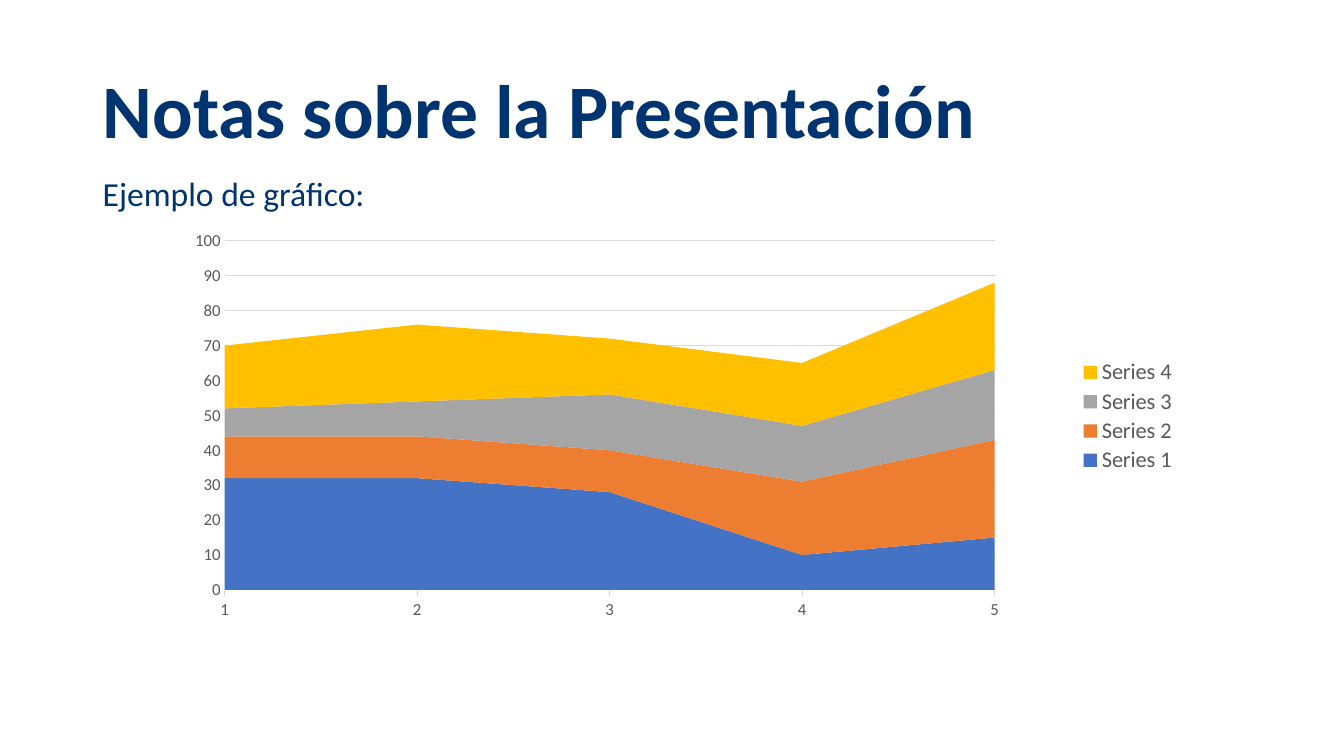
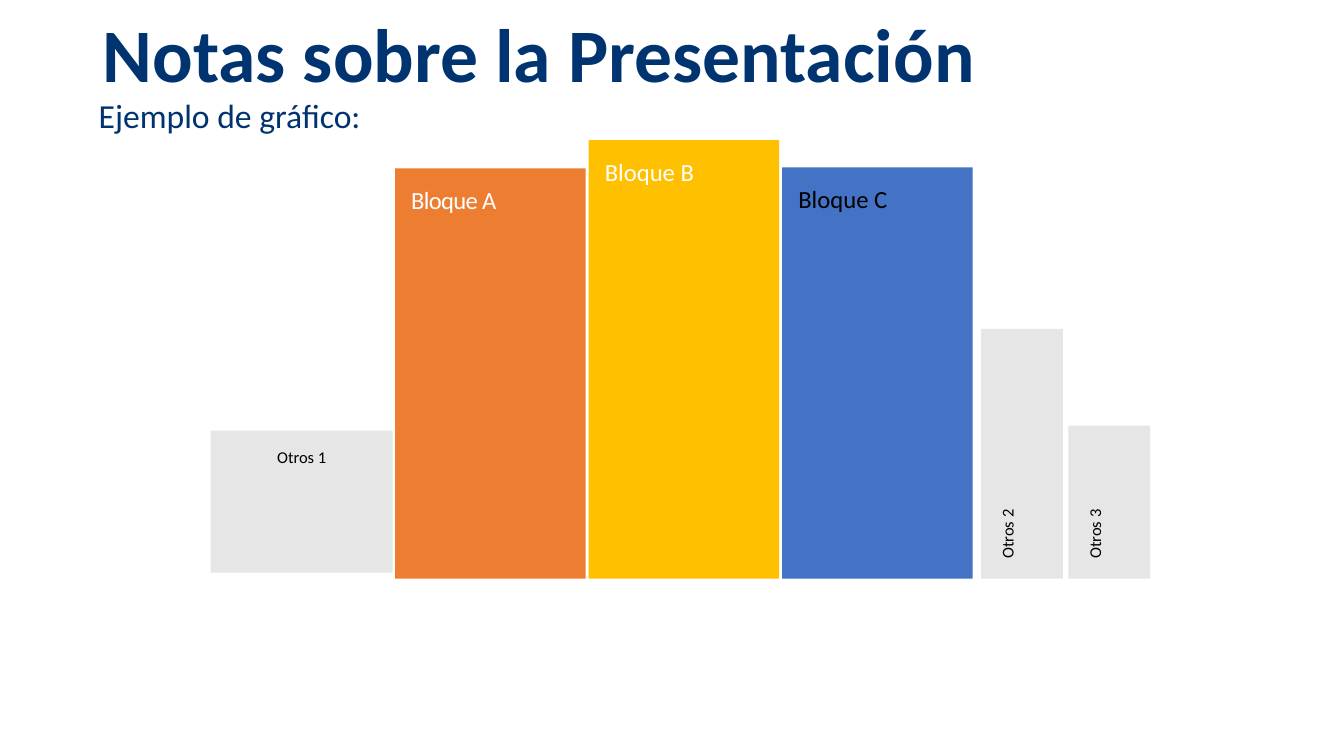
from lxml import etree
from pptx import Presentation, util as u
from pptx.chart import data as chart_data
from pptx.dml import color
from pptx.enum import chart as chart_enum, shapes, text
from pptx.oxml import ns

COLORS = {
    "navy": "003470", "white": "FFFFFF", "black": "000000", "text": "595959",
    "line": "D9D9D9", "pale": "E7E6E6", "blue": "4472C4", "orange": "ED7D31",
    "gray": "A5A5A5", "yellow": "FFC000",
}
FONT = "Calibri"
TITLE = "Notas sobre la Presentación"
SUBTITLE = "Ejemplo de gráfico:"


def rgb(name):
    return color.RGBColor.from_string(COLORS[name])


def set_all(target, **values):
    for name, value in values.items():
        setattr(target, name, value)


def set_font(font, size, color_name, bold=False):
    set_all(font, name=FONT, size=u.Pt(size), bold=bold)
    font.color.rgb = rgb(color_name)


def set_line(line, color_name):
    line.color.rgb = rgb(color_name)
    line.width = u.Pt(0.75)


def set_layout(element, successor_tags, **shares):
    """Place a chart part by shares of the chart's size."""
    for old in element.findall(ns.qn("c:layout")):
        element.remove(old)
    layout = etree.Element(ns.qn("c:layout"))
    manual = etree.SubElement(layout, ns.qn("c:manualLayout"))
    for tag, value in shares.items():
        etree.SubElement(manual, ns.qn(f"c:{tag}")).set("val", str(value))
    following = next(child for child in element
                     if child.tag in [ns.qn(tag) for tag in successor_tags])
    following.addprevious(layout)


class Deck:
    """Style and current slide; lengths are percentages of the slide's size."""

    def __init__(self):
        self.presentation = Presentation()
        set_all(self.presentation, slide_width=u.Inches(13.33), slide_height=u.Inches(7.5))
        self.slide = None

    def box(self, left, top, width, height):
        across = self.presentation.slide_width / 100
        down = self.presentation.slide_height / 100
        return (round(left * across), round(top * down),
                round(width * across), round(height * down))

    def add_slide(self, title_top, subtitle_left, subtitle_top):
        self.slide = self.presentation.slides.add_slide(self.presentation.slide_layouts[6])
        self.add_text(TITLE, (6.9, title_top, 86.25, 12.8), 54, bold=True,
                      anchor=text.MSO_ANCHOR.BOTTOM)
        self.add_text(SUBTITLE, (subtitle_left, subtitle_top, 86.25, 8), 24, space_before=10)

    def add_text(self, words, place, size, bold=False,
                 anchor=text.MSO_ANCHOR.TOP, space_before=0):
        frame = self.slide.shapes.add_textbox(*self.box(*place)).text_frame
        set_all(frame, word_wrap=True, vertical_anchor=anchor)
        paragraph = frame.paragraphs[0]
        set_all(paragraph, text=words, line_spacing=0.9, space_before=u.Pt(space_before))
        set_font(paragraph.runs[0].font, size, "navy", bold)

    def add_block(self, label, left, base, width, height, fill, ink="black", size=11.8,
                  margins=(0.2, 0.16), align=text.PP_ALIGN.LEFT, line_spacing=1.0,
                  turned=False, tracking=None):
        """Draw a bar standing on base; a turned one reads from bottom to top."""
        x, y, wide, high = self.box(left, base - height, width, height)
        if turned:
            x, y = x + (wide - high) // 2, y + (high - wide) // 2
            wide, high = high, wide
        shape = self.slide.shapes.add_shape(shapes.MSO_SHAPE.RECTANGLE, x, y, wide, high)
        shape.rotation = 270 if turned else 0
        shape.shadow.inherit = False
        shape.fill.solid()
        shape.fill.fore_color.rgb = rgb(fill)
        shape.line.fill.background()
        side, end = (u.Inches(margin) for margin in margins)
        set_all(shape.text_frame, margin_left=side, margin_right=side, margin_top=end,
                margin_bottom=end, word_wrap=True, vertical_anchor=text.MSO_ANCHOR.TOP)
        paragraph = shape.text_frame.paragraphs[0]
        set_all(paragraph, text=label, alignment=align, line_spacing=line_spacing)
        font = paragraph.runs[0].font
        set_font(font, size, ink)
        if tracking is not None:
            paragraph.runs[0]._r.get_or_add_rPr().set("spc", str(tracking))

    def add_area_chart(self, place, categories, series):
        data = chart_data.CategoryChartData()
        data.categories = categories
        for name, _, values in series:
            data.add_series(name, values)
        chart = self.slide.shapes.add_chart(
            chart_enum.XL_CHART_TYPE.AREA_STACKED, *self.box(*place), data).chart
        set_all(chart, has_title=False, has_legend=True)
        set_font(chart.font, 10, "black")
        for drawn, (_, fill, _) in zip(chart.plots[0].series, series):
            drawn.format.fill.solid()
            drawn.format.fill.fore_color.rgb = rgb(fill)

        # Axes
        ticks = chart_enum.XL_TICK_MARK
        for axis, mark in ((chart.category_axis, ticks.OUTSIDE), (chart.value_axis, ticks.NONE)):
            set_all(axis, major_tick_mark=mark, minor_tick_mark=ticks.NONE)
            set_font(axis.tick_labels.font, 12, "text")
        set_line(chart.category_axis.format.line, "line")
        set_all(chart.value_axis, minimum_scale=0, maximum_scale=100, major_unit=10,
                has_major_gridlines=True)
        chart.value_axis.format.line.fill.background()
        set_line(chart.value_axis.major_gridlines.format.line, "line")
        for crossing in chart._chartSpace.xpath(".//c:crossBetween"):
            crossing.set("val", "midCat")

        # Legend and plot area
        set_all(chart.legend, position=chart_enum.XL_LEGEND_POSITION.RIGHT,
                include_in_layout=False)
        set_font(chart.legend.font, 16, "text")
        set_layout(chart.legend._element, ["c:overlay"],
                   xMode="edge", yMode="edge", x=0.83, y=0.31, w=0.11, h=0.29)
        set_layout(chart._chartSpace.chart.plotArea, ["c:areaChart"], layoutTarget="inner",
                   xMode="edge", yMode="edge", x=0.043, y=0.027, w=0.718, h=0.851)


def main():
    deck = Deck()

    # Stacked areas
    deck.add_slide(title_top=8.4, subtitle_left=6.9, subtitle_top=22.8)
    deck.add_area_chart((13.28, 30.4, 79.8, 54.27), ["1", "2", "3", "4", "5"], [
        ("Series 1", "blue", (32, 32, 28, 10, 15)),
        ("Series 2", "orange", (12, 12, 12, 21, 28)),
        ("Series 3", "gray", (8, 10, 16, 16, 20)),
        ("Series 4", "yellow", (18, 22, 16, 18, 25)),
    ])

    # Blocks of different heights
    deck.add_slide(title_top=0.93, subtitle_left=6.6, subtitle_top=12.53)
    deck.add_block("Otros 1", 15.68, 75.75, 13.54, 18.8, "pale", align=text.PP_ALIGN.CENTER)
    main_blocks = [
        ("Bloque A", 54.27, "orange", "white", -50),
        ("Bloque B", 58, "yellow", "white", None),
        ("Bloque C", 54.4, "blue", "black", None),
    ]
    for index, (label, height, fill, ink, tracking) in enumerate(main_blocks):
        deck.add_block(label, 29.4 + 14.4 * index, 76.55, 14.18, height, fill, ink, size=17.6,
                       margins=(0.16, 0.2), line_spacing=0.9, tracking=tracking)
    for index, (label, height) in enumerate([("Otros 2", 33.07), ("Otros 3", 20.27)]):
        deck.add_block(label, 73 + 6.5 * index, 76.55, 6.08, height, "pale", turned=True)

    deck.presentation.save("out.pptx")


if __name__ == "__main__":
    main()
